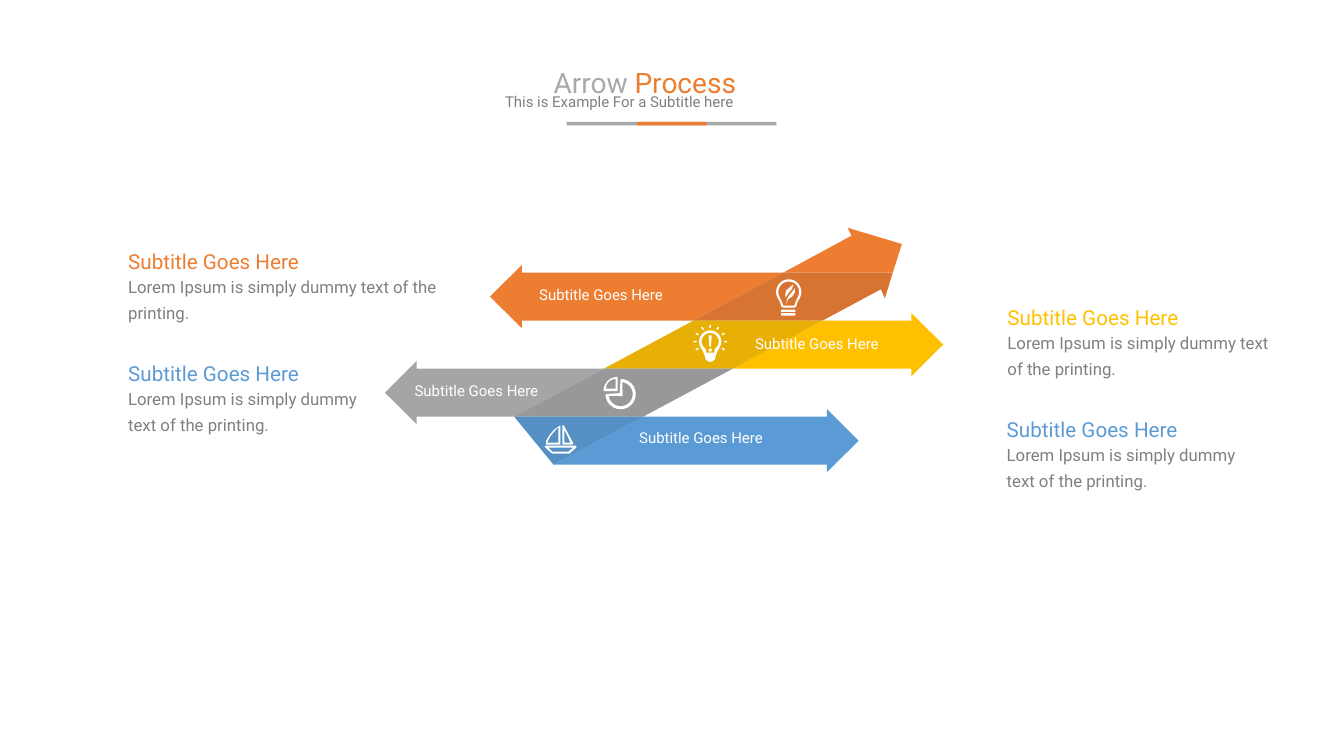
import math

import pptx
import pptx.util
import pptx.dml.color
import pptx.enum.shapes
import pptx.enum.text
from lxml import etree
from pptx.oxml.ns import qn

Cm = pptx.util.Cm
RGB = pptx.dml.color.RGBColor
MSO_ANCHOR = pptx.enum.text.MSO_ANCHOR

ORANGE = RGB(0xED, 0x7D, 0x31)
YELLOW = RGB(0xFF, 0xC0, 0x00)
GREY = RGB(0xA5, 0xA5, 0xA5)
BLUE = RGB(0x5B, 0x9B, 0xD5)
RULE_GREY = RGB(0xA6, 0xAA, 0xA9)
TEXT_GREY = RGB(0x80, 0x80, 0x80)
SHADE = RGB(0x22, 0x2A, 0x35)
WHITE = RGB(0xFF, 0xFF, 0xFF)

HEADING = "Subtitle Goes Here"
BODY = "Lorem Ipsum is simply dummy text of the printing."

# left, top, body width, heading colour (cm)
NOTES = [
    (3.23, 6.18, 7.85, ORANGE),
    (25.37, 10.41, 6.58, BLUE),
    (25.39, 7.59, 6.73, YELLOW),
    (3.23, 9.01, 6.48, BLUE),
]
# colour, tip x, direction of the arrow, label left, label top (cm)
BANDS = [
    (ORANGE, 12.35, -1, 13.59, 7.09),
    (YELLOW, 23.77, 1, 19.03, 8.33),
    (GREY, 9.7, -1, 10.45, 9.51),
    (BLUE, 21.64, 1, 16.11, 10.69),
]
ROW_TOP, ROW_H = 6.87, 1.21
RIBBON_LEFT, RIBBON_STEP, RIBBON_W = 19.74, 2.26, 3.25
HEAD_LEN, HEAD_OVERHANG = 0.8, 0.19
RIBBON_SHOULDER = [(22.5, ROW_TOP), (22.3, 7.52), (22.2, 7.29)]
RIBBON_TIP = [(22.73, 6.15), (21.36, 5.74), (21.46, 5.94)]
ICON_UNIT = 2.54 / 100


def arc(cx, cy, radius, start, end, steps=32):
    """Points along a circle, in degrees clockwise from the right."""
    angles = [math.radians(start + (end - start) * i / steps) for i in range(steps + 1)]
    return [(cx + radius * math.cos(a), cy + radius * math.sin(a)) for a in angles]


def ray(cx, cy, degrees, near=13.5, far=16.5, half=0.75):
    c, n = math.cos(math.radians(degrees)), math.sin(math.radians(degrees))
    return [(cx + d * c - w * n, cy + d * n + w * c)
            for d, w in ((near, -half), (far, -half), (far, half), (near, half))]


def box(x1, y1, x2, y2):
    return [(x1, y1), (x2, y1), (x2, y2), (x1, y2)]


PIE = [
    [(14, 14)] + arc(14, 14, 14, 180, 270),
    [(12, 11.5)] + arc(12, 11.5, 9.5, 180, 270),
    [(16, 16)] + arc(17, 17, 15, -90, 180),
    [(19, 19)] + arc(17, 17, 12, -82, 172),
]
BOAT = [
    [(17, 0), (18.5, 0), (28, 18), (27, 19), (17, 19)],
    [(19, 4), (25, 17), (19, 17)],
    [(15, 0), (9, 4), (4, 10), (1, 15), (1, 19), (15, 19)],
    [(13, 2), (9, 6), (5, 11), (2, 17), (13, 17)],
    [(0, 20), (31, 20), (31, 22), (24, 28), (7, 28), (0, 22)],
    [(3, 22), (28, 22), (23, 26), (7, 26)],
]
LEAF_BULB = [
    arc(12.5, 12.5, 12.5, 150, 390) + [(21, 23), (20, 27), (18, 28), (7, 28), (5, 27), (4, 23)],
    arc(12.5, 12.5, 10.3, 150, 390) + [(19, 23), (18, 26), (7, 26), (6, 23)],
    [(17, 5), (10, 11), (9, 15), (9.5, 18), (12, 14), (16, 9)],
    [(18.5, 9), (13, 16), (11, 19), (10, 24.5), (12, 19.5), (16, 17), (18.5, 13)],
    box(5, 30, 19, 32.3),
    box(5, 33.5, 19, 36),
]
IDEA_BULB = [
    arc(16.5, 16, 11, 150, 390) + [(24, 25), (22, 30), (21, 34), (18, 36),
                                   (15, 36), (12, 34), (11, 30), (9, 25)],
    arc(16.5, 16, 8.5, 150, 390) + [(21, 23.5), (20.5, 27), (12.5, 27), (12, 23.5)],
    [(15, 10), (18, 10), (17.3, 21), (15.7, 21)],
    arc(16.5, 24.5, 1.6, 0, 360),
] + [ray(16.5, 16, degrees) for degrees in range(150, 391, 30)]
ICONS = [(PIE, 15.21, 9.5), (BOAT, 13.74, 10.72), (LEAF_BULB, 19.56, 7.04), (IDEA_BULB, 17.48, 8.2)]

prs = pptx.Presentation()
prs.slide_width, prs.slide_height = Cm(33.87), Cm(19.05)
s = prs.slides.add_slide(prs.slide_layouts[6])


def paint(sp, color, alpha=None):
    sp.shadow.inherit = False
    sp.fill.solid()
    sp.fill.fore_color.rgb = color
    sp.line.fill.background()
    if alpha is not None:
        clr = sp.fill._xPr.find(qn("a:solidFill"))[0]
        etree.SubElement(clr, qn("a:alpha")).set("val", str(alpha * 1000))


def outline(contours, color, alpha=None, unit=1, left=0, top=0):
    """Filled outline of closed contours; points count units of cm from left, top."""
    contours = [[(Cm(left + x * unit), Cm(top + y * unit)) for x, y in c] for c in contours]
    fb = s.shapes.build_freeform(*contours[0][0])
    for i, points in enumerate(contours):
        if i:
            fb.move_to(*points[0])
        fb.add_line_segments(points[1:], close=True)
    paint(fb.convert_to_shape(), color, alpha)


def text(runs, left, top, width, height, size, spacing=1.0, anchor=MSO_ANCHOR.MIDDLE,
         inset=0, wrap=True, baseline=None):
    """Text box with one paragraph of (text, colour) runs."""
    tf = s.shapes.add_textbox(Cm(left), Cm(top), Cm(width), Cm(height)).text_frame
    tf.word_wrap, tf.vertical_anchor = wrap, anchor
    tf.margin_left = tf.margin_top = tf.margin_right = tf.margin_bottom = Cm(inset)
    p = tf.paragraphs[0]
    p.line_spacing = spacing
    for words, color in runs:
        r = p.add_run()
        r.text = words
        r.font.name, r.font.size = "Roboto", pptx.util.Pt(size)
        r.font.color.rgb = color
        if baseline:
            r._r.get_or_add_rPr().set("baseline", str(baseline * 1000))


def ribbon_edges(row):
    """Left and right end of the diagonal ribbon at the top of a row."""
    y, x = ROW_TOP + row * ROW_H, RIBBON_LEFT - row * RIBBON_STEP
    return (x, y), (x + RIBBON_W, y)


for left, top, width, color in NOTES:
    text([(HEADING, color)], left, top, 6.93, 0.61, 14.7, spacing=1.3)
    text([(BODY, TEXT_GREY)], left, top + 0.64, width, 1.32, 12, spacing=1.3)

crossings = []
for row, (color, tip, way, _, _) in enumerate(BANDS):
    (l1, r1), (l2, r2) = ribbon_edges(row), ribbon_edges(row + 1)
    if row == 0:
        crossing = [l1] + RIBBON_SHOULDER + [r2, l2]
    elif row == len(BANDS) - 1:
        crossing = [l1, r1, r2]
    else:
        crossing = [l1, r1, r2, l2]
    crossings.append(crossing)
    outline([crossing], color)

    root_top, root_bottom = (l1, l2) if way < 0 else (r1, r2)
    neck, y1, y2 = tip - way * HEAD_LEN, l1[1], l2[1]
    outline([[root_top, (neck, y1), (neck, y1 - HEAD_OVERHANG), (tip, (y1 + y2) / 2),
              (neck, y2 + HEAD_OVERHANG), (neck, y2), root_bottom]], color)
outline([[ribbon_edges(0)[0], RIBBON_SHOULDER[0]] + RIBBON_TIP], ORANGE)

for crossing in crossings:
    outline([crossing], SHADE, alpha=10)
for contours, left, top in ICONS:
    outline(contours, WHITE, unit=ICON_UNIT, left=left, top=top)
for _, _, _, left, top in BANDS:
    text([(HEADING, WHITE)], left, top, 3.73, 0.74, 10.7, spacing=0.8)

text([("Arrow ", RULE_GREY), ("Process", ORANGE)], 13.77, 0.63, 6.81, 1.63, 34.6,
     spacing=1.3, anchor=MSO_ANCHOR.TOP, inset=0.18, wrap=False, baseline=9)
for left, width, color in [(14.28, 5.29, RULE_GREY), (16.05, 1.76, ORANGE)]:
    paint(s.shapes.add_shape(pptx.enum.shapes.MSO_SHAPE.RECTANGLE,
                             Cm(left), Cm(3.07), Cm(width), Cm(0.09)), color)
text([("This is Example For a Subtitle here", TEXT_GREY)], 12.73, 2.34, 8.53, 0.56, 10.7,
     anchor=MSO_ANCHOR.TOP)

prs.save("out.pptx")
